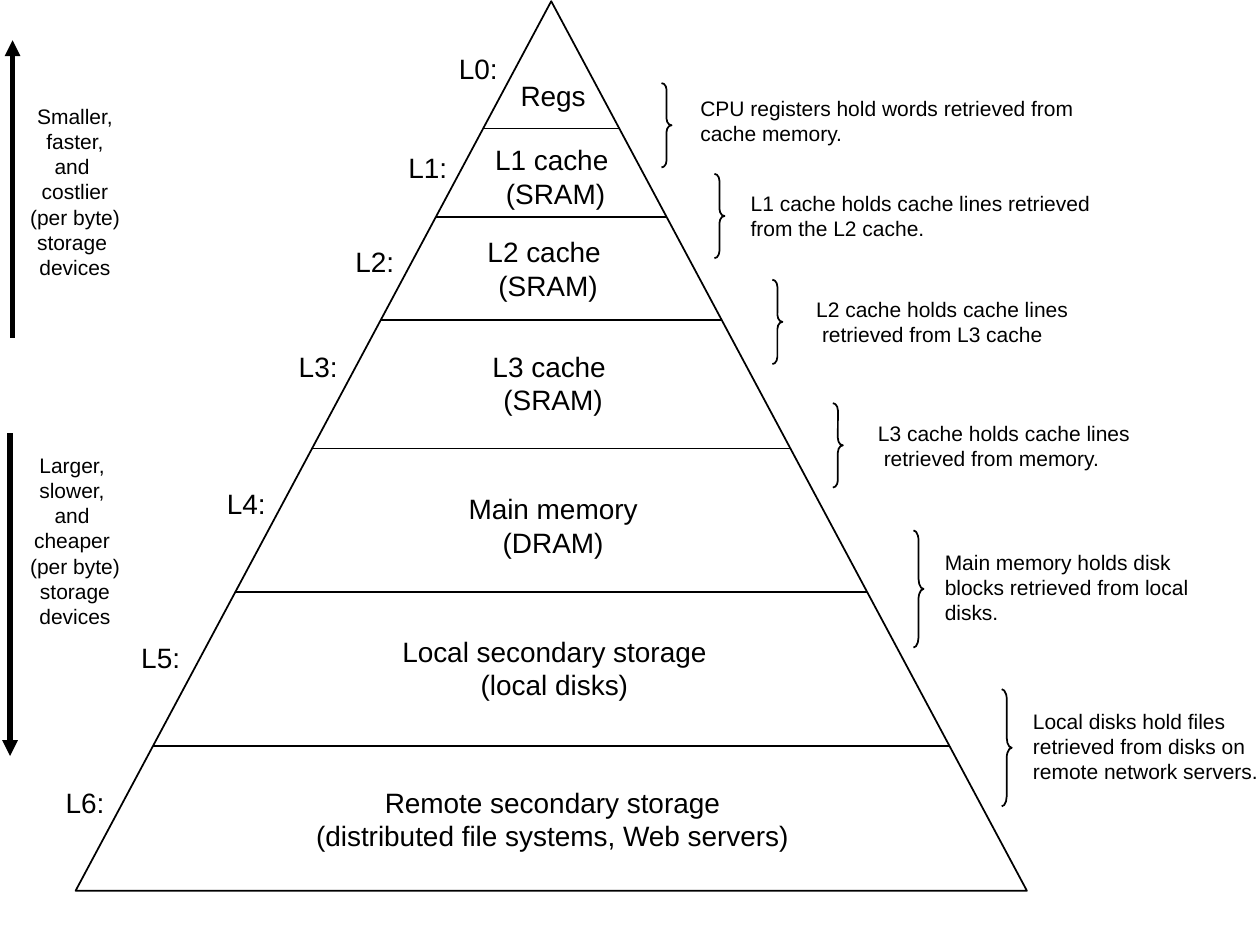
from dataclasses import dataclass

from lxml.etree import SubElement
from pptx import Presentation
from pptx.dml.color import RGBColor
from pptx.enum.shapes import MSO_CONNECTOR, MSO_SHAPE
from pptx.enum.text import MSO_ANCHOR, MSO_AUTO_SIZE, PP_ALIGN
from pptx.oxml.ns import qn
from pptx.util import Inches, Pt

BLACK = RGBColor(0x00, 0x00, 0x00)
FONT = "Arial"
CELL = 0.1  # inches per grid column and row
COLUMNS, ROWS = 100, 75
LEVEL_SIZE, NOTE_SIZE = 16, 12
LINE_ROWS = {LEVEL_SIZE: 2.7, NOTE_SIZE: 2}

APEX_COLUMN, APEX_ROW = 43.75, 0.1
PYRAMID_WIDTH, PYRAMID_HEIGHT = 75.5, 70.6


def grid(cells):
    return Inches(cells * CELL)


@dataclass
class Level:
    label_at: tuple
    name: list
    name_center: float
    name_top: float
    name_width: float
    floor: float = None


@dataclass
class Note:
    """What a level holds; later lines may be set in by some columns."""
    brace_at: tuple
    text_at: tuple
    width: float
    lines: list
    line_count: int
    brace_curve: float
    later_indent: float = 0


LEVELS = [
    Level((35.4, 3.6), ["Regs"], 43.9, 5.7, 7.2, 10.2),
    Level((31.4, 11.4), ["L1 cache ", "(SRAM)"], 44.1, 10.8, 11.6, 17.2),
    Level((27.2, 18.9), ["L2 cache ", "(SRAM)"], 43.5, 18.1, 11.6, 25.4),
    Level((22.7, 27.2), ["L3 cache ", "(SRAM)"], 43.9, 27.2, 11.6, 35.6),
    Level((17, 38.1), ["Main memory", "(DRAM)"], 43.9, 38.5, 15.4, 47),
    Level((10.2, 50.3), ["Local secondary storage", "(local disks)"],
          44, 49.8, 26.2, 59.2),
    Level((4.2, 61.8), ["Remote secondary storage",
                        "(distributed file systems, Web servers)"],
          43.85, 61.8, 39.7),
]

NOTES = [
    Note((52.5, 6.6), (54.6, 7.1), 31.9,
         ["CPU registers hold words retrieved from cache memory."], 2, 0.67),
    Note((56.7, 13.8), (58.6, 14.6), 31,
         ["L1 cache holds cache lines retrieved from the L2 cache."], 2, 0.72),
    Note((61.3, 22.2), (63.8, 23), 28.7,
         ["L2 cache holds cache lines", "retrieved from L3 cache"], 2, 0.72, 0.46),
    Note((66.1, 32), (68.7, 32.9), 28.7,
         ["L3 cache holds cache lines", "retrieved from memory."], 2, 0.72, 0.46),
    Note((72.5, 42.1), (74, 43.1), 30.3,
         ["Main memory holds disk", "blocks retrieved from local", "disks."], 3, 1),
    Note((79.5, 54.7), (81, 55.7), 22.6,
         ["Local disks hold files retrieved from disks on remote network servers."],
         3, 1),
]

# Arrow column, start row, end row, top row of the text, text
TRENDS = [
    (1, 26.8, 3.2, 7.7, ["Smaller,", "faster,", "and ", "costlier",
                         "(per byte)", "storage ", "devices"]),
    (0.8, 34.4, 60, 35.4, ["Larger, ", "slower, ", "and ", "cheaper ",
                           "(per byte)", "storage", "devices"]),
]


class HierarchySlide:
    def __init__(self, presentation):
        blank_layout = presentation.slide_layouts[6]
        self.shapes = presentation.slides.add_slide(blank_layout).shapes

    def outline(self, preset, left, top, width, height, adjustments):
        """Add an unfilled preset shape with a thin black line."""
        shape = self.shapes.add_shape(
            preset, grid(left), grid(top), grid(width), grid(height))
        for index, value in enumerate(adjustments):
            shape.adjustments[index] = value
        shape.shadow.inherit = False
        shape.fill.background()
        shape.line.color.rgb = BLACK
        shape.line.width = Pt(1)
        return shape

    def line(self, start, end, width=1, arrow=False):
        connector = self.shapes.add_connector(
            MSO_CONNECTOR.STRAIGHT, *map(grid, start + end))
        connector.line.color.rgb = BLACK
        connector.line.width = Pt(width)
        if arrow:
            SubElement(connector.get_or_add_ln(), qn("a:tailEnd"), type="triangle")
        SubElement(connector._element.spPr, qn("a:effectLst"))

    def text(self, left, top, width, lines, size, line_count=None,
             wrap=False, align=PP_ALIGN.CENTER, later_indent=0):
        height = 1 + LINE_ROWS[size] * (line_count or len(lines))
        box = self.shapes.add_textbox(grid(left), grid(top), grid(width), grid(height))
        frame = box.text_frame
        frame.word_wrap = wrap
        frame.auto_size = MSO_AUTO_SIZE.SHAPE_TO_FIT_TEXT
        frame.vertical_anchor = MSO_ANCHOR.MIDDLE
        frame.text = "\n".join(lines)
        for index, paragraph in enumerate(frame.paragraphs):
            if index and later_indent:
                paragraph._p.get_or_add_pPr().set("marL", str(grid(later_indent)))
            paragraph.alignment = align
            paragraph.font.name = FONT
            paragraph.font.size = Pt(size)
            paragraph.font.color.rgb = BLACK
        return box

    def pyramid(self):
        self.outline(MSO_SHAPE.ISOSCELES_TRIANGLE, APEX_COLUMN - PYRAMID_WIDTH / 2,
                     APEX_ROW, PYRAMID_WIDTH, PYRAMID_HEIGHT, [0.5])

    def level(self, number, level):
        self.text(*level.label_at, 5.1, [f"L{number}:"], LEVEL_SIZE)
        self.text(level.name_center - level.name_width / 2, level.name_top,
                  level.name_width, level.name, LEVEL_SIZE)
        if level.floor:
            half = (level.floor - APEX_ROW) / PYRAMID_HEIGHT * PYRAMID_WIDTH / 2
            self.line((APEX_COLUMN - half, level.floor),
                      (APEX_COLUMN + half, level.floor))

    def note(self, note):
        brace = self.outline(MSO_SHAPE.RIGHT_BRACE, *note.brace_at, 0.8,
                             1.5 + 2.6 * note.line_count, [note.brace_curve, 0.5])
        text = self.text(*note.text_at, note.width, note.lines, NOTE_SIZE,
                         note.line_count, wrap=True, align=PP_ALIGN.LEFT,
                         later_indent=note.later_indent)
        self.shapes.add_group_shape([brace, text])

    def trend(self, column, start, end, text_top, lines):
        self.line((column, start), (column, end), width=3, arrow=True)
        self.text(1.4, text_top, 9.1, lines, NOTE_SIZE)


def main():
    presentation = Presentation()
    presentation.slide_width = grid(COLUMNS)
    presentation.slide_height = grid(ROWS)
    slide = HierarchySlide(presentation)
    slide.pyramid()
    for number, level in enumerate(LEVELS):
        slide.level(number, level)
    for note in NOTES:
        slide.note(note)
    for trend in TRENDS:
        slide.trend(*trend)
    presentation.save("out.pptx")


if __name__ == "__main__":
    main()
